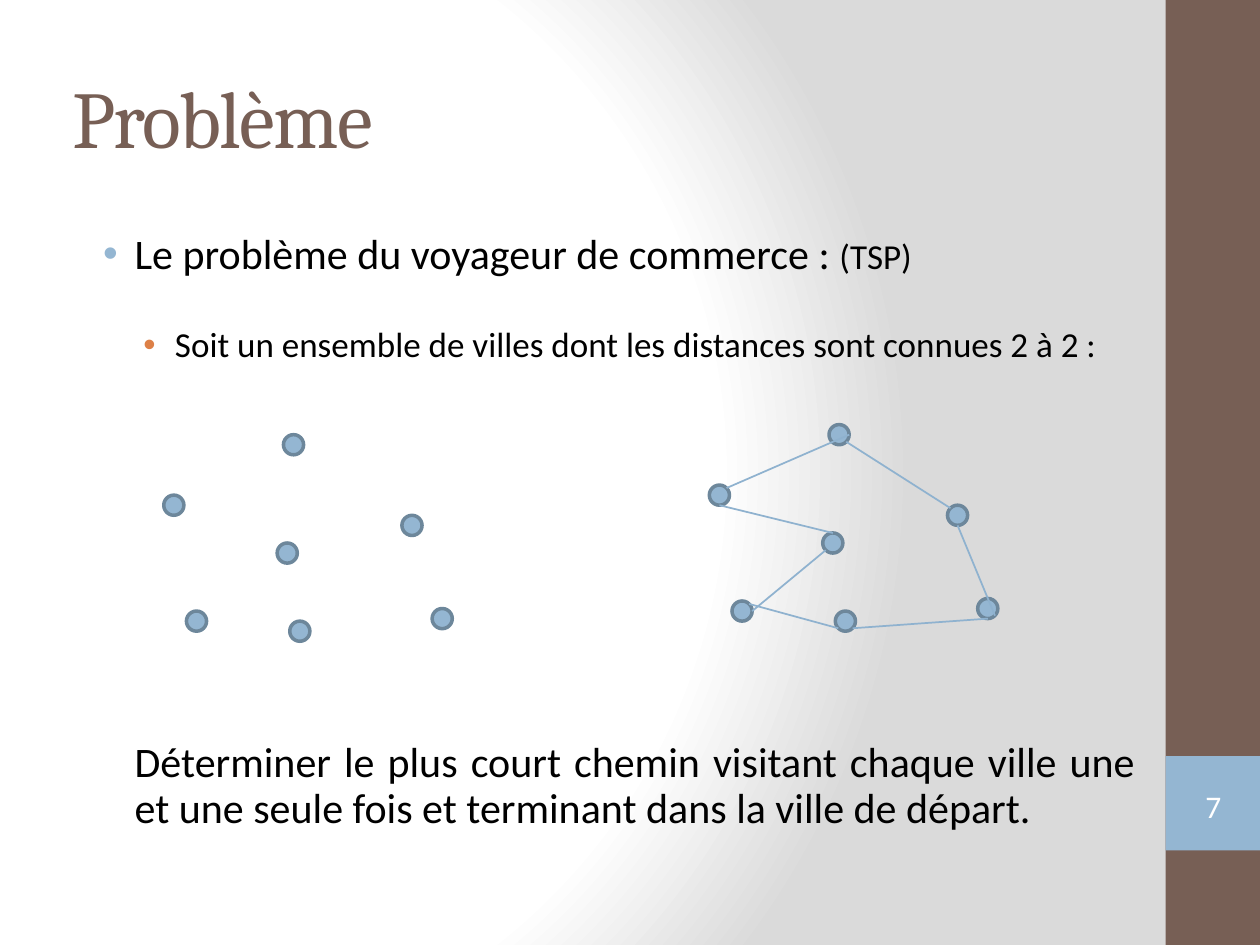
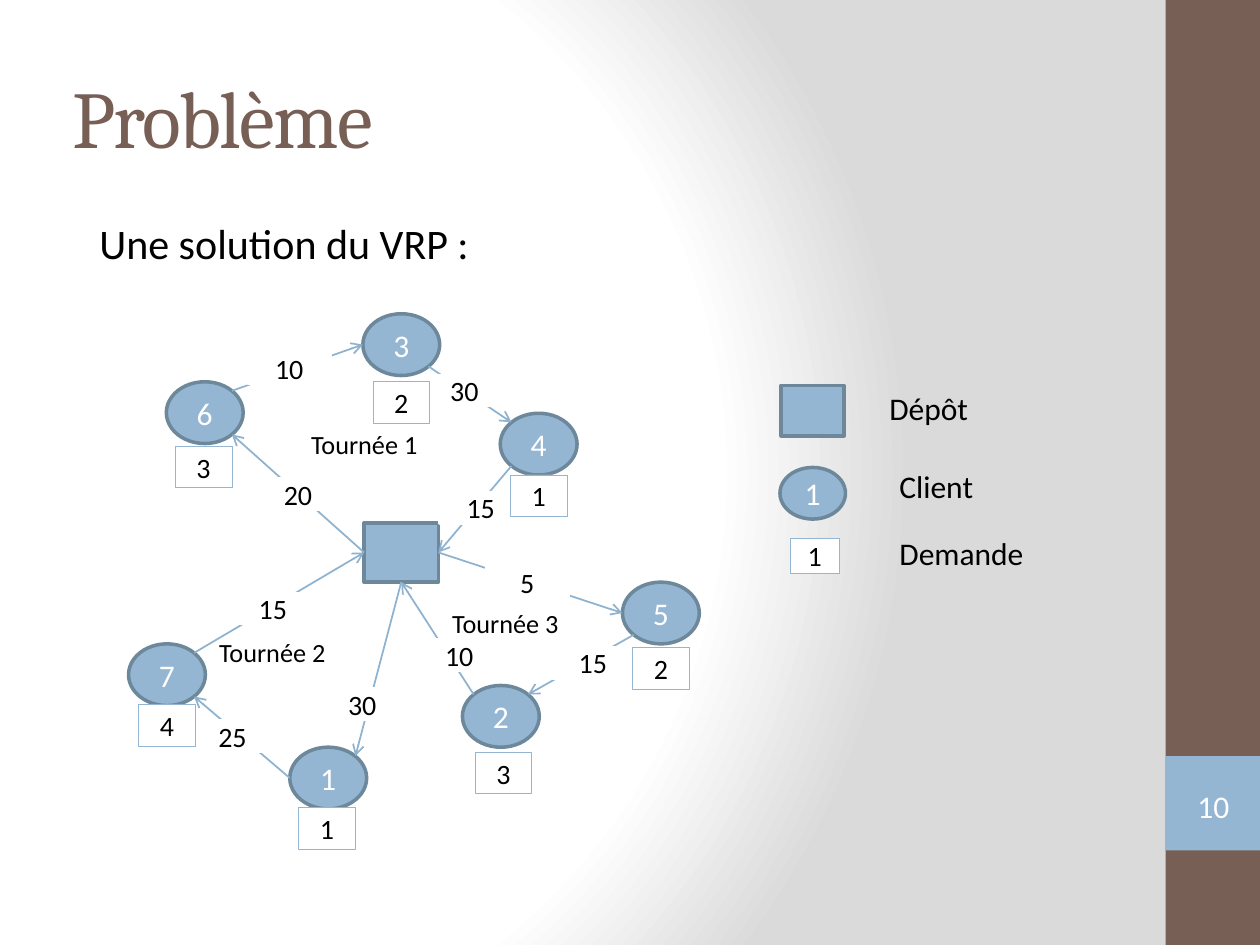
from math import sqrt

from lxml.etree import SubElement
from pptx import Presentation
from pptx.dml.color import RGBColor
from pptx.enum.shapes import MSO_CONNECTOR, MSO_SHAPE
from pptx.enum.text import MSO_ANCHOR, PP_ALIGN
from pptx.oxml import parse_xml
from pptx.oxml.ns import nsdecls, qn
from pptx.util import Inches, Pt

BROWN = RGBColor(0x77, 0x5F, 0x55)
BLUE = RGBColor(0x94, 0xB6, 0xD2)
DARK_BLUE = RGBColor(0x6D, 0x87, 0x9B)
LINE_BLUE = RGBColor(0x8F, 0xB2, 0xCF)
ORANGE = RGBColor(0xDD, 0x80, 0x47)
WHITE = RGBColor(0xFF, 0xFF, 0xFF)
GREY = RGBColor(0xDA, 0xDA, 0xDA)
BLACK = RGBColor(0, 0, 0)

BODY_FONT = "Calibri"
TITLE_FONT = "Cambria"

# Direction from the middle of a shape to each of its connection points
DIAGONAL = 1 / sqrt(2)
SIDES = {
    "n": (0, -1), "s": (0, 1), "w": (-1, 0), "e": (1, 0),
    "nw": (-DIAGONAL, -DIAGONAL), "ne": (DIAGONAL, -DIAGONAL),
    "sw": (-DIAGONAL, DIAGONAL), "se": (DIAGONAL, DIAGONAL),
}

# Cities of the travelling salesman, in the order of the tour
DOT_SIZE = 0.16
CITIES = [(2.25, 3.45), (1.3, 3.93), (2.2, 4.31), (1.48, 4.85),
          (2.3, 4.93), (3.43, 4.83), (3.19, 4.09)]
TOUR_OFFSET = (4.33, -0.08)
TOUR_SIDES = [("e", "ne"), ("s", "n"), ("sw", "e"), ("ne", "sw"),
              ("se", "s"), ("se", "s"), ("nw", "se")]

# Vehicle routing: client -> left, top, demand, left and top of the demand
CLIENT_SIZE = (0.61, 0.49)
DEMAND_SIZE = (0.45, 0.33)
COST_SIZE = (0.65, 0.24)
DEPOT = (2.89, 4.15, 0.59, 0.47)
CLIENTS = {
    "6": (1.32, 3.03, "3", 1.39, 3.54),
    "3": (2.88, 2.49, "2", 2.96, 3.03),
    "4": (3.97, 3.28, "1", 4.05, 3.77),
    "7": (1.02, 5.11, "4", 1.1, 5.59),
    "1": (2.3, 5.93, "1", 2.37, 6.41),
    "2": (3.67, 5.44, "3", 3.77, 5.97),
    "5": (4.94, 4.62, "2", 5.02, 5.14),
}
# Start, side, end, side, cost, left and top of the cost
LEGS = [
    ("depot", "w", "6", "se", "20", 2.04, 3.8),
    ("6", "ne", "3", "w", "10", 1.97, 2.8),
    ("3", "se", "4", "nw", "30", 3.36, 2.98),
    ("4", "sw", "depot", "e", "15", 3.49, 3.91),
    ("depot", "e", "5", "w", "5", 3.86, 4.5),
    ("5", "sw", "2", "ne", "15", 4.38, 5.14),
    ("2", "nw", "depot", "s", "10", 3.32, 5.08),
    ("1", "w", "7", "se", "25", 1.52, 5.72),
    ("depot", "s", "1", "ne", "30", 2.55, 5.47),
    ("7", "ne", "depot", "w", "15", 1.84, 4.71),
]
TOURS = [("Tournée 1", 2.37, 3.35), ("Tournée 2", 1.64, 5), ("Tournée 3", 3.49, 4.77)]
LEGEND = [("Dépôt", 6.96, 3.04), ("Client", 7.04, 3.66), ("Demande", 7.04, 4.19)]


def set_background(deck):
    """Give every slide the round white to grey gradient."""
    fill = deck.slide_master.background.fill
    fill.solid()
    solid = deck.slide_master.element.find(".//" + qn("p:bgPr")).find(qn("a:solidFill"))
    stops = "".join(
        f'<a:gs pos="{share * 1000}"><a:srgbClr val="{color}"/></a:gs>'
        for share, color in ((0, WHITE), (75, WHITE), (100, GREY)))
    gradient = parse_xml(
        f'<a:gradFill {nsdecls("a")} rotWithShape="1"><a:gsLst>{stops}</a:gsLst>'
        '<a:path path="circle"><a:fillToRect l="20000" t="50000" r="100000" b="50000"/>'
        '</a:path></a:gradFill>')
    solid.getparent().replace(solid, gradient)


def add_span(para, text, size, color=BLACK, font=BODY_FONT):
    """Add one run of text to a paragraph."""
    span = para.add_run()
    span.text = text
    span.font.size = Pt(size)
    span.font.name = font
    span.font.color.rgb = color
    return span


def add_shape(page, kind, frame, fill=None, line=None, width=2.0):
    """Add a preset shape; without a colour, fill or line stay empty."""
    shape = page.shapes.add_shape(kind, *map(Inches, frame))
    shape.shadow.inherit = False
    if fill is None:
        shape.fill.background()
    else:
        shape.fill.solid()
        shape.fill.fore_color.rgb = fill
    if line is None:
        shape.line.fill.background()
    else:
        shape.line.color.rgb = line
        shape.line.width = Pt(width)
    return shape


def center_text(shape, text, size, color):
    """Write a short text in the middle of a shape."""
    frame = shape.text_frame
    frame.vertical_anchor = MSO_ANCHOR.MIDDLE
    para = frame.paragraphs[0]
    para.alignment = PP_ALIGN.CENTER
    add_span(para, text, size, color)


def add_text_box(page, frame):
    """Add an empty text box that wraps."""
    box = page.shapes.add_textbox(*map(Inches, frame))
    box.text_frame.word_wrap = True
    return box


def add_label(page, text, frame, size):
    """Add a one-line text in black."""
    add_span(add_text_box(page, frame).text_frame.paragraphs[0], text, size)


def add_node(page, kind, frame, text=""):
    """Add a blue city, client or depot, with its number if any."""
    shape = add_shape(page, kind, frame, BLUE, DARK_BLUE)
    if text:
        center_text(shape, text, 18, WHITE)


def add_value(page, text, frame, line, width):
    """Add a white box with a number."""
    center_text(add_shape(page, MSO_SHAPE.RECTANGLE, frame, WHITE, line, width),
                text, 16, BLACK)


def anchor(frame, side):
    """Find the point of a framed shape on the given side."""
    left, top, width, height = frame
    across, down = SIDES[side]
    return left + width / 2 * (1 + across), top + height / 2 * (1 + down)


def add_line(page, start, end, arrow=False):
    """Draw a thin line between two points, with an arrowhead if asked."""
    line = page.shapes.add_connector(MSO_CONNECTOR.STRAIGHT, *map(Inches, start + end))
    line.line.color.rgb = LINE_BLUE
    line.line.width = Pt(1)
    if arrow:
        SubElement(line.line._get_or_add_ln(), qn("a:tailEnd"), type="arrow")
    SubElement(line._element.spPr, qn("a:effectLst"))


def add_page(deck, title, number):
    """Add a slide with the side band, its title and its number."""
    page = deck.slides.add_slide(deck.slide_layouts[6])
    add_shape(page, MSO_SHAPE.RECTANGLE, (9.25, 0, 0.75, 7.5), BROWN)
    add_shape(page, MSO_SHAPE.RECTANGLE, (9.25, 6, 0.75, 0.75), BLUE)
    box = add_text_box(page, (0.48, 0.3, 8.33, 1.25))
    box.text_frame.vertical_anchor = MSO_ANCHOR.MIDDLE
    span = add_span(box.text_frame.paragraphs[0], title, 46, BROWN, TITLE_FONT)
    span.font._element.set("spc", "-100")
    badge = add_shape(page, MSO_SHAPE.DOUBLE_BRACKET, (9.33, 6.18, 0.6, 0.43))
    frame = badge.text_frame
    frame.margin_left = frame.margin_right = frame.margin_top = frame.margin_bottom = 0
    center_text(badge, number, 18, WHITE)
    return page


def format_para(para, margin, space_before, bullet_color=None):
    """Set the indent and spacing of a body paragraph, and its bullet."""
    para.line_spacing = 0.9
    para.space_before = Pt(space_before)
    properties = para._p.get_or_add_pPr()
    properties.set("marL", str(Inches(margin)))
    properties.set("indent", str(Inches(-0.25 if bullet_color else 0)))
    if bullet_color:
        color = SubElement(properties, qn("a:buClr"))
        SubElement(color, qn("a:srgbClr"), val=str(bullet_color))
        SubElement(properties, qn("a:buFont"), typeface="Arial")
        SubElement(properties, qn("a:buChar"), char="•")


def add_salesman_text(page):
    """Write the statement of the travelling salesman problem."""
    frame = add_text_box(page, (0.59, 1.8, 8.52, 4.93)).text_frame
    para = frame.paragraphs[0]
    format_para(para, 0.38, 0, BLUE)
    add_span(para, "Le problème du voyageur de commerce : ", 24)
    add_span(para, "(TSP)", 20)
    para = frame.add_paragraph()
    format_para(para, 0.7, 28, ORANGE)
    add_span(para, "Soit un ensemble de villes dont les distances sont connues 2 à 2 :", 20)
    para = frame.add_paragraph()
    format_para(para, 0.38, 215)
    para.alignment = PP_ALIGN.JUSTIFY
    add_span(para, "Déterminer le plus court chemin visitant chaque ville une et une "
                   "seule fois et terminant dans la ville de départ.", 24)


def add_cities(page, across=0, down=0):
    """Draw the cities, shifted as asked, and return their frames."""
    frames = [(left + across, top + down, DOT_SIZE, DOT_SIZE) for left, top in CITIES]
    for frame in frames:
        add_node(page, MSO_SHAPE.OVAL, frame)
    return frames


def build_salesman(deck):
    """Build the slide on the travelling salesman problem."""
    page = add_page(deck, "Problème", "7")
    add_salesman_text(page)
    add_cities(page)
    stops = add_cities(page, *TOUR_OFFSET)
    for start, end, (leave, arrive) in zip(stops, stops[1:] + stops[:1], TOUR_SIDES):
        add_line(page, anchor(start, leave), anchor(end, arrive))


def build_routing(deck):
    """Build the slide with a solution of the vehicle routing problem."""
    page = add_page(deck, "Problème", "10")
    add_label(page, "Une solution du VRP :", (0.69, 1.68, 4.02, 0.5), 24)

    frames = {"depot": DEPOT}
    add_node(page, MSO_SHAPE.RECTANGLE, DEPOT)
    for name, (left, top, *_) in CLIENTS.items():
        frames[name] = (left, top, *CLIENT_SIZE)
        add_node(page, MSO_SHAPE.OVAL, frames[name], name)
    for start, leave, end, arrive, *_ in LEGS:
        add_line(page, anchor(frames[start], leave), anchor(frames[end], arrive), True)
    for text, left, top in TOURS:
        add_label(page, text, (left, top, 1.55, 0.42), 15)
    for *_, cost, left, top in LEGS:
        add_value(page, cost, (left, top, *COST_SIZE), WHITE, 2)
    for *_, demand, left, top in CLIENTS.values():
        add_value(page, demand, (left, top, *DEMAND_SIZE), BLUE, 0.25)

    add_node(page, MSO_SHAPE.RECTANGLE, (6.2, 3.06, 0.5, 0.4))
    add_node(page, MSO_SHAPE.OVAL, (6.19, 3.71, 0.52, 0.41), "1")
    add_value(page, "1", (6.27, 4.27, 0.39, 0.28), BLUE, 0.25)
    for text, left, top in LEGEND:
        add_label(page, text, (left, top, 1.9, 0.4), 18)


def main():
    """Build the deck and save it."""
    deck = Presentation()
    deck.slide_width = Inches(10)
    deck.slide_height = Inches(7.5)
    set_background(deck)
    build_salesman(deck)
    build_routing(deck)
    deck.save("out.pptx")


main()
